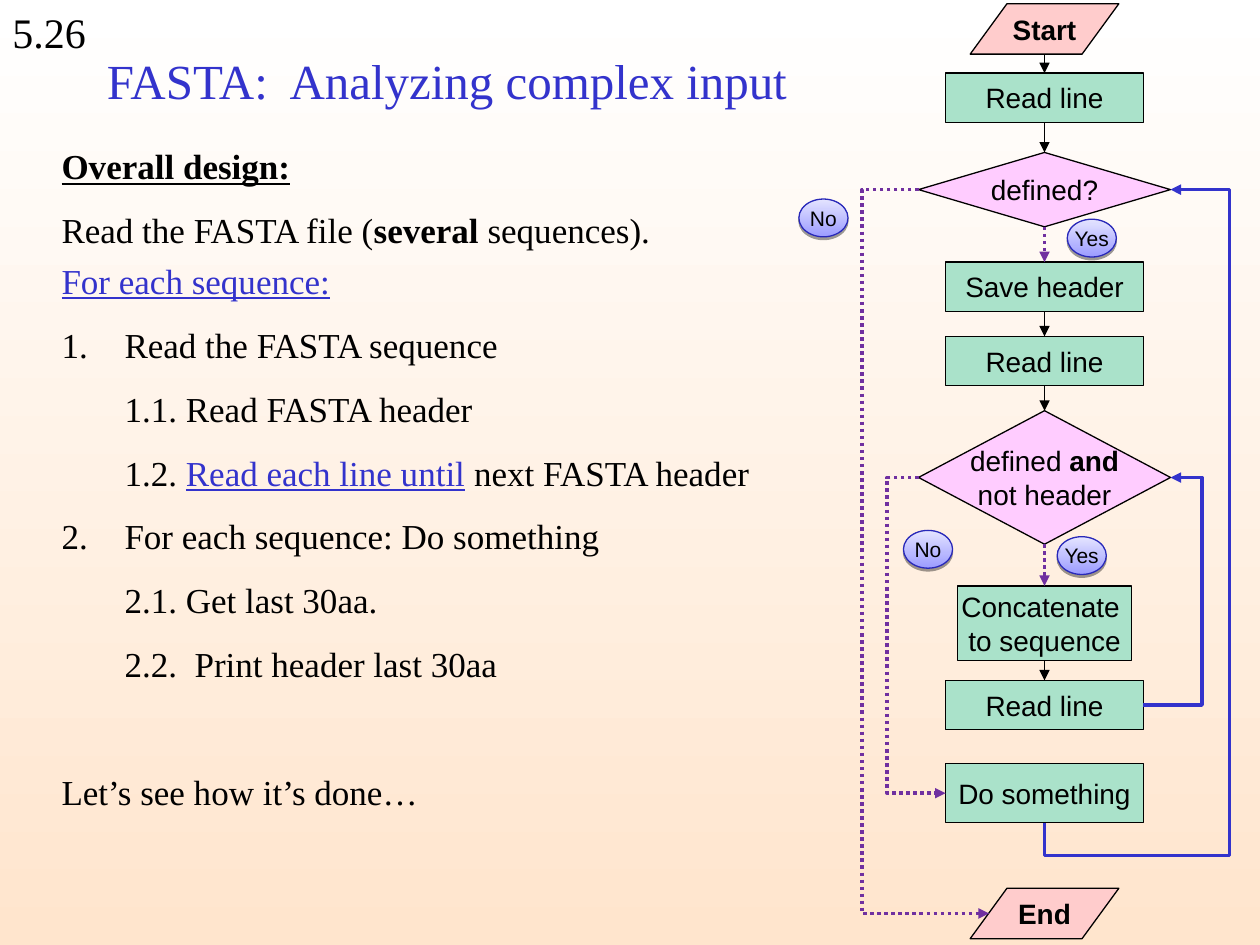
from pptx import Presentation
from pptx.dml.color import RGBColor
from pptx.enum.dml import MSO_LINE
from pptx.enum.shapes import MSO_CONNECTOR, MSO_SHAPE
from pptx.enum.text import MSO_ANCHOR, PP_ALIGN
from pptx.oxml.ns import qn
from pptx.util import Inches, Pt
from lxml.etree import SubElement

BLACK = RGBColor(0, 0, 0)
WHITE = RGBColor(0xFF, 0xFF, 0xFF)
PEACH = RGBColor(0xFF, 0xE5, 0xCD)
BLUE = RGBColor(0x33, 0x33, 0xCC)
PURPLE = RGBColor(0x70, 0x30, 0xA0)
GREEN = RGBColor(0xAA, 0xE2, 0xCA)
ROSE = RGBColor(0xFF, 0xCC, 0xCC)
PINK = RGBColor(0xFF, 0xCC, 0xFF)
LABEL_DARK = RGBColor(0x9C, 0x9C, 0xFF)
LABEL_LIGHT = RGBColor(0xE4, 0xE4, 0xFF)
LABEL_LINE = RGBColor(0x28, 0x28, 0xB8)

COLS, ROWS = 100, 75
CENTER = 82.9  # column of the flowchart's axis
TOP, LEFT, BOTTOM, RIGHT = range(4)
PLAIN, BOLD, LINK, HEADING = "plain", "bold", "link", "heading"


class FlowSlide:
    """Style and current slide; lengths are columns and rows of the grid."""

    def __init__(self, prs):
        self.s = prs.slides.add_slide(prs.slide_layouts[6])
        self.col = prs.slide_width / COLS
        self.row = prs.slide_height / ROWS
        self.gradient(self.s.background.fill, WHITE, PEACH, 270)

    def x(self, cols):
        return round(cols * self.col)

    def y(self, rows):
        return round(rows * self.row)

    def place(self, left, top, width, height):
        return self.x(left), self.y(top), self.x(width), self.y(height)

    @staticmethod
    def gradient(fill, first, last, angle):
        fill.gradient()
        fill.gradient_angle = angle
        for stop, color in zip(fill.gradient_stops, (first, last)):
            stop.color.rgb = color

    @staticmethod
    def font(r, name, size, style=PLAIN, color=BLACK):
        r.font.name, r.font.size = name, Pt(size)
        r.font.bold = style in (BOLD, HEADING)
        r.font.underline = style in (LINK, HEADING)
        r.font.color.rgb = BLUE if style == LINK else color

    def text(self, box, text, size, color=BLACK, anchor=MSO_ANCHOR.TOP):
        tf = self.s.shapes.add_textbox(*self.place(*box)).text_frame
        tf.word_wrap, tf.vertical_anchor = True, anchor
        tf.text = text
        self.font(tf.paragraphs[0].runs[0], "Times New Roman", size, color=color)

    def outline(self, box, items):
        """Each item: level, number, space before, line height, (text, style) runs."""
        tf = self.s.shapes.add_textbox(*self.place(*box)).text_frame
        tf.word_wrap = True
        for i, (level, number, before, height, runs) in enumerate(items):
            p = tf.add_paragraph() if i else tf.paragraphs[0]
            p.level = level
            pPr = p._p.get_or_add_pPr()
            pPr.set("marL", str(Inches(0.5 + 0.5 * level)))
            pPr.set("indent", str(Inches(-0.5)))
            if number:
                SubElement(pPr, qn("a:buAutoNum"), type="arabicPeriod", startAt=str(number))
            p.space_before, p.line_spacing = Pt(before), Pt(height)
            for words, style in runs:
                r = p.add_run()
                r.text = words
                self.font(r, "Times New Roman", 20, style)

    def shape(self, kind, center, top, width, height, lines, size=16):
        """Add a centred shape; lines is a list of lists of (text, style) runs."""
        sp = self.s.shapes.add_shape(
            kind, *self.place(center - width / 2, top, width, height))
        sp.shadow.inherit = False
        sp.line.color.rgb, sp.line.width = BLACK, Pt(0.75)
        tf = sp.text_frame
        tf.word_wrap, tf.vertical_anchor = False, MSO_ANCHOR.MIDDLE
        for i, runs in enumerate(lines):
            p = tf.add_paragraph() if i else tf.paragraphs[0]
            p.alignment = PP_ALIGN.CENTER
            for words, style in runs:
                r = p.add_run()
                r.text = words
                self.font(r, "Arial", size, style)
        return sp

    def step(self, text, top, height=3.9, width=15.7):
        lines = [[(line, PLAIN)] for line in text.split("\n")]
        sp = self.shape(MSO_SHAPE.RECTANGLE, CENTER, top, width, height, lines)
        sp.fill.solid()
        sp.fill.fore_color.rgb = GREEN
        return sp

    def terminal(self, text, top):
        sp = self.shape(MSO_SHAPE.PARALLELOGRAM, CENTER, top, 11.8, 4, [[(text, BOLD)]])
        sp.adjustments[0] = 0.73
        sp.fill.solid()
        sp.fill.fore_color.rgb = ROSE
        return sp

    def decision(self, lines, top, height):
        sp = self.shape(MSO_SHAPE.DIAMOND, CENTER, top, 20, height, lines)
        sp.fill.solid()
        sp.fill.fore_color.rgb = PINK
        return sp

    def label(self, text, center, top):
        sp = self.shape(MSO_SHAPE.OVAL, center, top, 3.9, 3, [[(text, PLAIN)]], 12)
        self.gradient(sp.fill, LABEL_DARK, LABEL_LIGHT, 90)
        sp.line.color.rgb = LABEL_LINE
        effects = sp.element.spPr.find(qn("a:effectLst"))
        shadow = SubElement(effects, qn("a:outerShdw"), blurRad="0",
                            dist=str(Pt(1.6)), dir="5400000", rotWithShape="0")
        color = SubElement(shadow, qn("a:srgbClr"), val=str(BLACK))
        SubElement(color, qn("a:alpha"), val="38000")

    def arrow(self, begin, end, color=BLACK, width=0.75, dotted=False,
              kind=MSO_CONNECTOR.STRAIGHT, tip="tailEnd"):
        """Each end is a (shape, side) pair to join, or a (column, row) point."""
        cx = self.s.shapes.add_connector(kind, 0, 0, 0, 0)
        if isinstance(begin[0], (int, float)):
            cx.begin_x, cx.begin_y = self.x(begin[0]), self.y(begin[1])
        else:
            cx.begin_connect(*begin)
        if isinstance(end[0], (int, float)):
            cx.end_x, cx.end_y = self.x(end[0]), self.y(end[1])
        else:
            cx.end_connect(*end)
        cx.line.color.rgb, cx.line.width = color, Pt(width)
        if dotted:
            cx.line.dash_style = MSO_LINE.ROUND_DOT
        spPr = cx.element.spPr
        SubElement(spPr.find(qn("a:ln")), qn(f"a:{tip}"), type="triangle")
        SubElement(spPr, qn("a:effectLst"))
        return cx

    def elbow(self, begin, end, color, via_x, via_y=None, dotted=False, tip="tailEnd"):
        """Route an arrow through column via_x and, when given, row via_y."""
        cx = self.arrow(begin, end, color, 2, dotted, MSO_CONNECTOR.ELBOW, tip)
        shares = [(self.x(via_x) - cx.begin_x) / (cx.end_x - cx.begin_x)]
        if via_y is not None:
            shares.append((self.y(via_y) - cx.begin_y) / (cx.end_y - cx.begin_y))
        geom = cx.element.spPr.find(qn("a:prstGeom"))
        geom.set("prst", f"bentConnector{len(shares) + 2}")
        guides = geom.find(qn("a:avLst"))
        if guides is None:
            guides = SubElement(geom, qn("a:avLst"))
        for i, share in enumerate(shares, 1):
            SubElement(guides, qn("a:gd"), name=f"adj{i}",
                       fmla=f"val {round(share * 100000)}")


def add_text(flow):
    flow.text((0, 0, 12.5, 5), "5.26", 24)
    flow.text((7.5, 1.7, 85, 9.2), "FASTA:  Analyzing complex input", 28, BLUE,
              MSO_ANCHOR.MIDDLE)
    gap, line = 12.5, 24
    flow.outline((3.9, 11, 68, 54), [
        (0, 0, 0, line, [("Overall design:", HEADING)]),
        (0, 0, gap, line, [("Read the FASTA file (", PLAIN), ("several", BOLD),
                           (" sequences).", PLAIN)]),
        (0, 0, 0, 29, [("For each sequence:", LINK)]),
        (0, 1, gap, line, [("Read the FASTA sequence", PLAIN)]),
        (1, 0, gap, line, [("1.1. Read FASTA header", PLAIN)]),
        (1, 0, gap, line, [("1.2. ", PLAIN), ("Read each line until", LINK),
                           (" next FASTA header", PLAIN)]),
        (0, 2, gap, line, [("For each sequence: Do something", PLAIN)]),
        (1, 0, gap, line, [("2.1. Get last 30aa.", PLAIN)]),
        (1, 0, gap, line, [("2.2.  Print header last 30aa", PLAIN)]),
        (0, 0, 2 * gap + line, line, [("Let’s see how it’s done…", PLAIN)]),
    ])


def add_flowchart(flow):
    flow.terminal("Start", 0.3)
    read_first = flow.step("Read line", 5.8)
    defined = flow.decision([[("defined?", PLAIN)]], 12.1, 5.9)
    save = flow.step("Save header", 20.8)
    read_next = flow.step("Read line", 26.7)
    in_sequence = flow.decision(
        [[("defined", PLAIN), (" and", BOLD)], [("not header", PLAIN)]], 32.6, 10.6)
    concatenate = flow.step("Concatenate \nto sequence", 46.5, 5.9, 13.8)
    read_more = flow.step("Read line", 54, 3.9)
    work = flow.step("Do something", 60.6, 4.7)
    flow.terminal("End", 70.5)

    flow.arrow((CENTER, 4.3), (read_first, TOP))
    for upper, lower in ((read_first, defined), (save, read_next),
                         (read_next, in_sequence), (concatenate, read_more)):
        flow.arrow((upper, BOTTOM), (lower, TOP))
    for upper, lower in ((defined, save), (in_sequence, concatenate)):
        flow.arrow((upper, BOTTOM), (lower, TOP), PURPLE, 2, dotted=True)

    flow.elbow((defined, LEFT), (78.5, 72.5), PURPLE, 68.4, dotted=True)
    flow.elbow((in_sequence, LEFT), (work, LEFT), PURPLE, 70.4, dotted=True)
    flow.elbow((read_more, RIGHT), (in_sequence, RIGHT), BLUE, 95.4)
    flow.elbow((defined, RIGHT), (work, BOTTOM), BLUE, 97.6, 67.9, tip="headEnd")

    for text, center, top in (("No", 65.35, 15.8), ("Yes", 86.65, 17.4),
                              ("No", 73.65, 42.1), ("Yes", 85.85, 42.6)):
        flow.label(text, center, top)


def main():
    prs = Presentation()
    prs.slide_width, prs.slide_height = Inches(10), Inches(7.5)
    flow = FlowSlide(prs)
    add_text(flow)
    add_flowchart(flow)
    prs.save("out.pptx")


if __name__ == "__main__":
    main()
